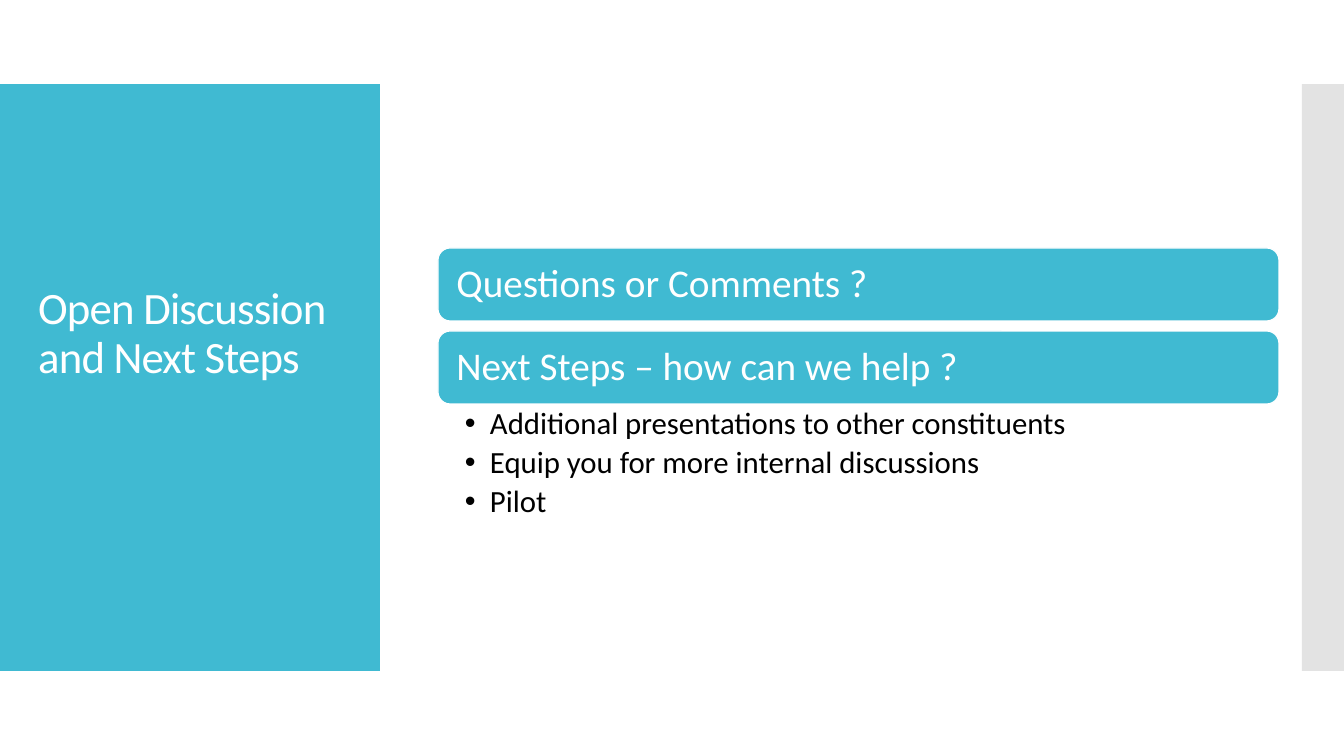
from lxml.etree import SubElement
from pptx import Presentation
from pptx.dml.color import RGBColor
from pptx.enum.shapes import MSO_SHAPE
from pptx.enum.text import MSO_ANCHOR, MSO_AUTO_SIZE, PP_ALIGN
from pptx.oxml.ns import qn
from pptx.util import Pt

TITLE = "Open Discussion and Next Steps"
TOPICS = ["Questions or Comments ?", "Next Steps – how can we help ?"]
HELP_ITEMS = [
    "Additional presentations to other constituents",
    "Equip you for more internal discussions",
    "Pilot",
]
TEAL, GREY, WHITE, BLACK = "40BAD2", "C8C8C8", "FFFFFF", "000000"
SLIDE_W, SLIDE_H = 1344, 756
BAND_Y, BAND_H = 84, 587
TITLE_BOX = (28, 126, 313, 262)
TOPIC_X, TOPIC_Y, TOPIC_W, TOPIC_H, TOPIC_STEP = 438, 248, 841, 73, 83
LIST_H = 125
INDENT = 25


def px(n):
    return round(n * 914400 / 100.8)


def color(value):
    return RGBColor.from_string(value)


def place(shape, x, y, w, h):
    shape.left, shape.top, shape.width, shape.height = map(px, (x, y, w, h))


def add_box(kind, box, fill):
    sp = s.shapes.add_shape(kind, *map(px, box))
    sp.shadow.inherit = False
    sp.fill.solid()
    sp.fill.fore_color.rgb = color(fill)
    sp.line.fill.background()
    return sp


def set_margins(tf, left, top, right, bottom):
    tf.margin_left, tf.margin_top = px(left), px(top)
    tf.margin_right, tf.margin_bottom = px(right), px(bottom)


def format_paragraph(p, size, ink, after=0):
    p.alignment = PP_ALIGN.LEFT
    p.line_spacing = 0.9
    p.space_before, p.space_after = Pt(0), Pt(after)
    for r in p.runs:
        r.font.name = "Calibri"
        r.font.size = Pt(size)
        r.font.color.rgb = color(ink)


prs = Presentation()
prs.slide_width, prs.slide_height = px(SLIDE_W), px(SLIDE_H)
s = prs.slides.add_slide(prs.slide_layouts[1])
title, body = s.shapes.title, s.placeholders[1]

title_panel = add_box(MSO_SHAPE.RECTANGLE, (0, BAND_Y, 380, BAND_H), TEAL)
side_strip = add_box(MSO_SHAPE.RECTANGLE, (1302, BAND_Y, 42, BAND_H), GREY)
strip_color = side_strip.fill._xPr.find(qn("a:solidFill"))[0]
SubElement(strip_color, qn("a:alpha"), val="50000")
for panel in (title_panel, side_strip):
    title.element.addprevious(panel.element)

place(title, *TITLE_BOX)
tf = title.text_frame
tf.text = TITLE
tf.word_wrap = True
tf.auto_size = MSO_AUTO_SIZE.NONE
tf.vertical_anchor = MSO_ANCHOR.BOTTOM
format_paragraph(tf.paragraphs[0], 32, WHITE)
tf.paragraphs[0].runs[0].font._element.set("spc", "-60")

for i, topic in enumerate(TOPICS):
    box = (TOPIC_X, TOPIC_Y + i * TOPIC_STEP, TOPIC_W, TOPIC_H)
    sp = add_box(MSO_SHAPE.ROUNDED_RECTANGLE, box, TEAL)
    sp.line.color.rgb = color(WHITE)
    sp.line.width = Pt(0.85)
    tf = sp.text_frame
    tf.text = topic
    tf.word_wrap = True
    tf.vertical_anchor = MSO_ANCHOR.MIDDLE
    set_margins(tf, 15, 12, 15, 12)
    format_paragraph(tf.paragraphs[0], 28, WHITE)

list_y = TOPIC_Y + (len(TOPICS) - 1) * TOPIC_STEP + TOPIC_H
place(body, TOPIC_X, list_y, TOPIC_W, LIST_H)
tf = body.text_frame
tf.word_wrap = True
tf.auto_size = MSO_AUTO_SIZE.NONE
tf.vertical_anchor = MSO_ANCHOR.TOP
set_margins(tf, 27, 4, 22, 4)
for i, item in enumerate(HELP_ITEMS):
    p = tf.add_paragraph() if i else tf.paragraphs[0]
    p.text = item
    pPr = p._p.get_or_add_pPr()
    pPr.set("marL", str(px(INDENT)))
    pPr.set("indent", str(-px(INDENT)))
    SubElement(pPr, qn("a:buChar"), char="•")
    format_paragraph(p, 22, BLACK, 4)

prs.save("out.pptx")
